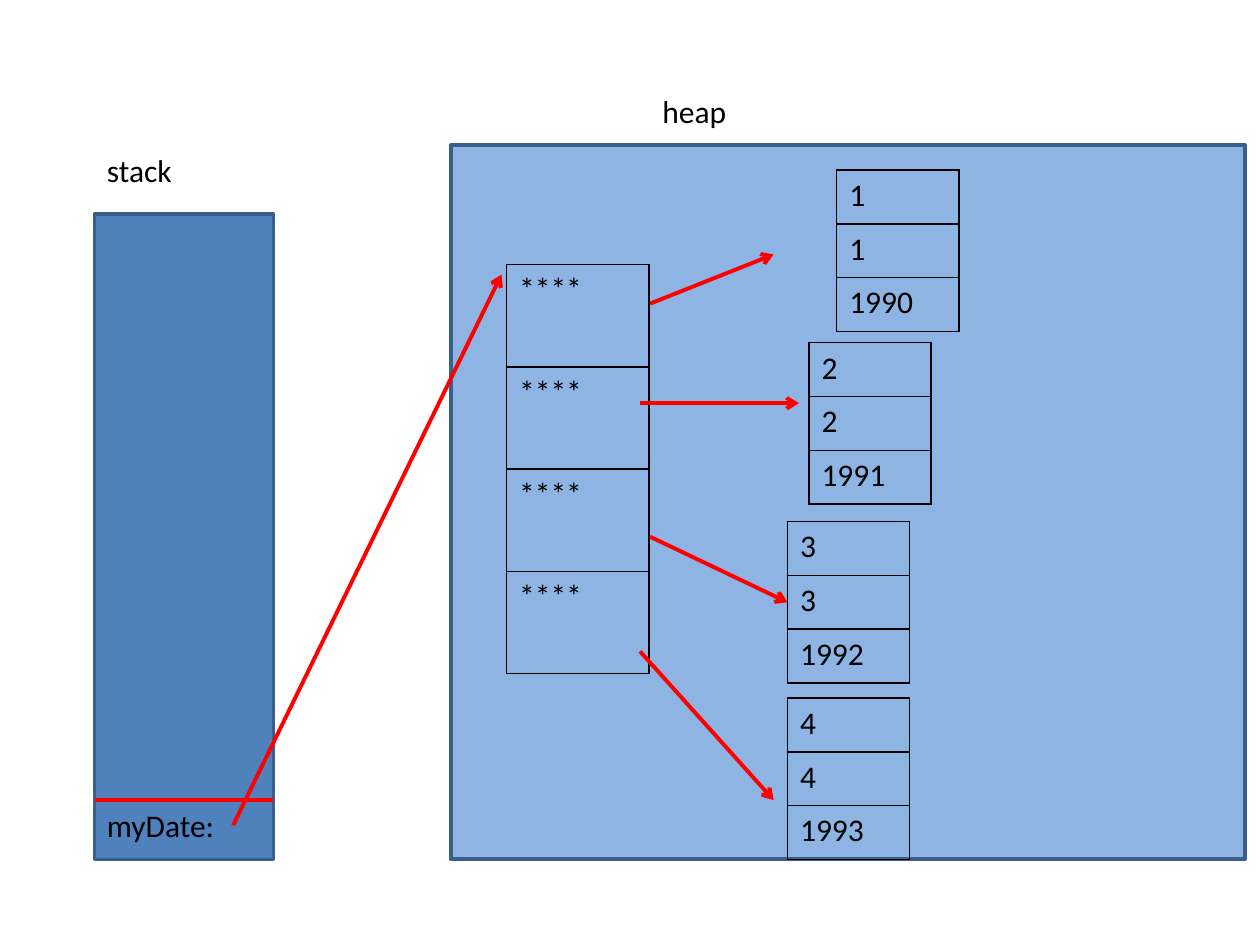
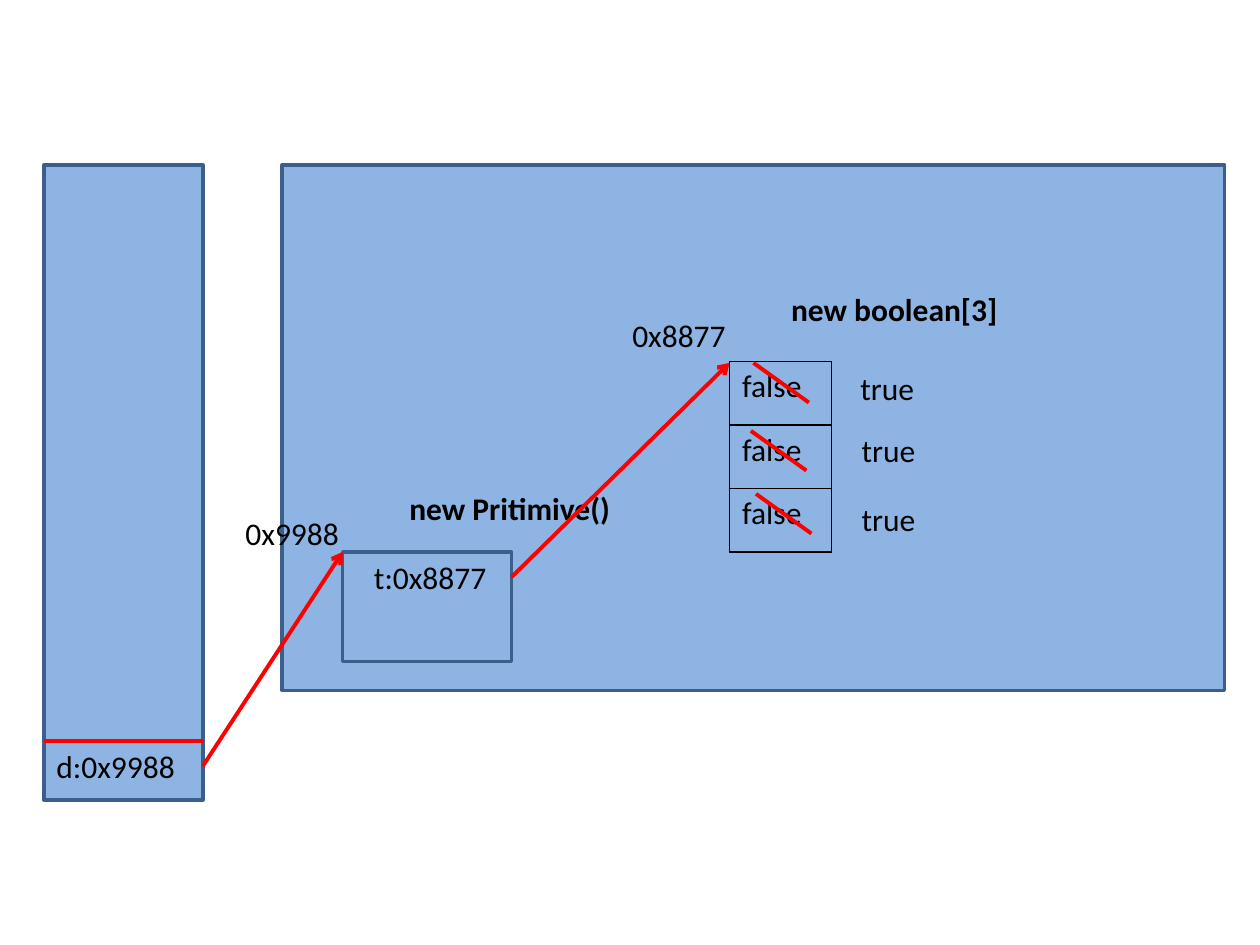
from lxml import etree
from pptx import Presentation
from pptx import util as u
from pptx.dml.color import RGBColor
from pptx.enum import shapes, text
from pptx.oxml import ns

COLORS = {
    "paper": "FFFFFF",
    "stack": "4F81BD",
    "heap": "8EB4E3",
    "edge": "3A5F8C",
    "arrow": "FF0000",
    "ink": "000000",
}
COLS, ROWS = 100, 75


def rgb(name):
    return RGBColor.from_string(COLORS[name])


def sub(parent, tag, **attrs):
    return etree.SubElement(parent, ns.qn(tag), **attrs)


class Diagram:
    """Draws memory diagrams on a grid of 100 columns and 75 rows."""

    font, size = "Calibri", u.Pt(18)
    label_height = 4

    def __init__(self):
        self.prs = Presentation()
        self.prs.slide_width, self.prs.slide_height = u.Inches(10), u.Inches(7.5)
        self.slide = None

    def new_slide(self):
        self.slide = self.prs.slides.add_slide(self.prs.slide_layouts[6])
        fill = self.slide.background.fill
        fill.solid()
        fill.fore_color.rgb = rgb("paper")

    def grid(self, *lengths):
        units = (self.prs.slide_width / COLS, self.prs.slide_height / ROWS)
        return [round(n * units[i % 2]) for i, n in enumerate(lengths)]

    def add_run(self, tf, words, bold=False):
        r = tf.paragraphs[0].add_run()
        r.text = words
        r.font.name, r.font.size, r.font.bold = self.font, self.size, bold
        r.font.color.rgb = rgb("ink")

    def box(self, x, y, w, h, color="heap"):
        sp = self.slide.shapes.add_shape(
            shapes.MSO_SHAPE.RECTANGLE, *self.grid(x, y, w, h))
        sp.shadow.inherit = False
        sp.fill.solid()
        sp.fill.fore_color.rgb = rgb(color)
        sp.line.color.rgb = rgb("edge")
        sp.line.width = u.Pt(2)

    def label(self, x, y, w, words, bold=False, wrap=True):
        sp = self.slide.shapes.add_textbox(*self.grid(x, y, w, self.label_height))
        tf = sp.text_frame
        tf.word_wrap = wrap
        tf.auto_size = text.MSO_AUTO_SIZE.SHAPE_TO_FIT_TEXT
        self.add_run(tf, words, bold)

    def line(self, x1, y1, x2, y2, arrow=False):
        sp = self.slide.shapes.add_connector(
            shapes.MSO_CONNECTOR.STRAIGHT, *self.grid(x1, y1, x2, y2))
        sp.line.color.rgb = rgb("arrow")
        sp.line.width = u.Pt(2.25)
        if arrow:
            sub(sp._element.spPr.find(ns.qn("a:ln")), "a:tailEnd", type="arrow")
        sub(sp._element.spPr, "a:effectLst")

    def arrow(self, x1, y1, x2, y2):
        self.line(x1, y1, x2, y2, arrow=True)

    def border(self, cell):
        tc_pr = cell._tc.get_or_add_tcPr()
        for i, side in enumerate("LRTB"):
            ln = etree.Element(ns.qn(f"a:ln{side}"), w=str(u.Pt(1)))
            sub(sub(ln, "a:solidFill"), "a:srgbClr", val=COLORS["ink"])
            tc_pr.insert(i, ln)

    def array(self, x, y, w, row_height, values):
        table = self.slide.shapes.add_table(
            len(values), 1, *self.grid(x, y, w, row_height * len(values))).table
        table.first_row = table.horz_banding = False
        for row, value in zip(table.rows, values):
            row.height = self.grid(0, row_height)[1]
            cell = row.cells[0]
            cell.fill.background()
            self.border(cell)
            self.add_run(cell.text_frame, value)

    def stack(self, x, y, w, h, split, variable, color="heap"):
        self.box(x, y, w, h, color)
        self.line(x, split, x + w, split)
        self.label(x, split, w, variable)


def date_array(d):
    d.new_slide()
    d.box(35.8, 11.5, 63, 56.7)
    d.stack(7.5, 17, 14.2, 51.2, 63.5, "myDate:", "stack")
    d.label(7.5, 11.5, 14.2, "stack")
    d.label(51.6, 6.8, 19.7, "heap")
    d.array(40.2, 21, 11.3, 8.12, ["****"] * 4)
    dates = [(66.4, 13.5), (64.2, 27.2), (62.5, 41.4), (62.5, 55.4)]
    for n, (x, y) in enumerate(dates, 1):
        d.array(x, y, 9.7, 4.27, [str(n), str(n), str(1989 + n)])
    for ends in [(18.5, 65.5, 39.8, 21.8), (51.6, 24.1, 61.4, 20.2),
                 (50.8, 32, 63.4, 32), (51.6, 42.6, 62.5, 47.8),
                 (50.8, 51.7, 61.4, 63.5)]:
        d.arrow(*ends)


def boolean_array(d):
    d.new_slide()
    d.box(22.4, 13.1, 74.8, 41.7)
    d.stack(3.5, 13.1, 12.6, 50.4, 58.8, "d:0x9988")
    d.box(27.2, 43.8, 13.4, 8.7)
    d.label(28.7, 43.8, 13.4, "t:0x8877")
    d.label(31.5, 38.3, 18.1, "new Pritimive()", bold=True, wrap=False)
    d.label(61.8, 22.5, 18.5, "new boolean[3]", bold=True, wrap=False)
    d.array(57.9, 28.7, 8.1, 5.04, ["false"] * 3)
    d.arrow(16.1, 60.8, 27.2, 43.8)
    d.label(18.5, 40.3, 12.6, "0x9988")
    d.arrow(40.6, 45.8, 57.9, 28.8)
    d.label(49.2, 24.6, 12.6, "0x8877")
    for x, y in [(59.8, 28.8), (59.6, 34.2), (60, 39.2)]:
        d.line(x, y, x + 4.4, y + 3.15)
    for x, y in [(67.3, 28.8), (67.4, 33.7), (67.4, 39.2)]:
        d.label(x, y, 8.7, "true")


def main():
    d = Diagram()
    date_array(d)
    boolean_array(d)
    d.prs.save("out.pptx")


if __name__ == "__main__":
    main()
